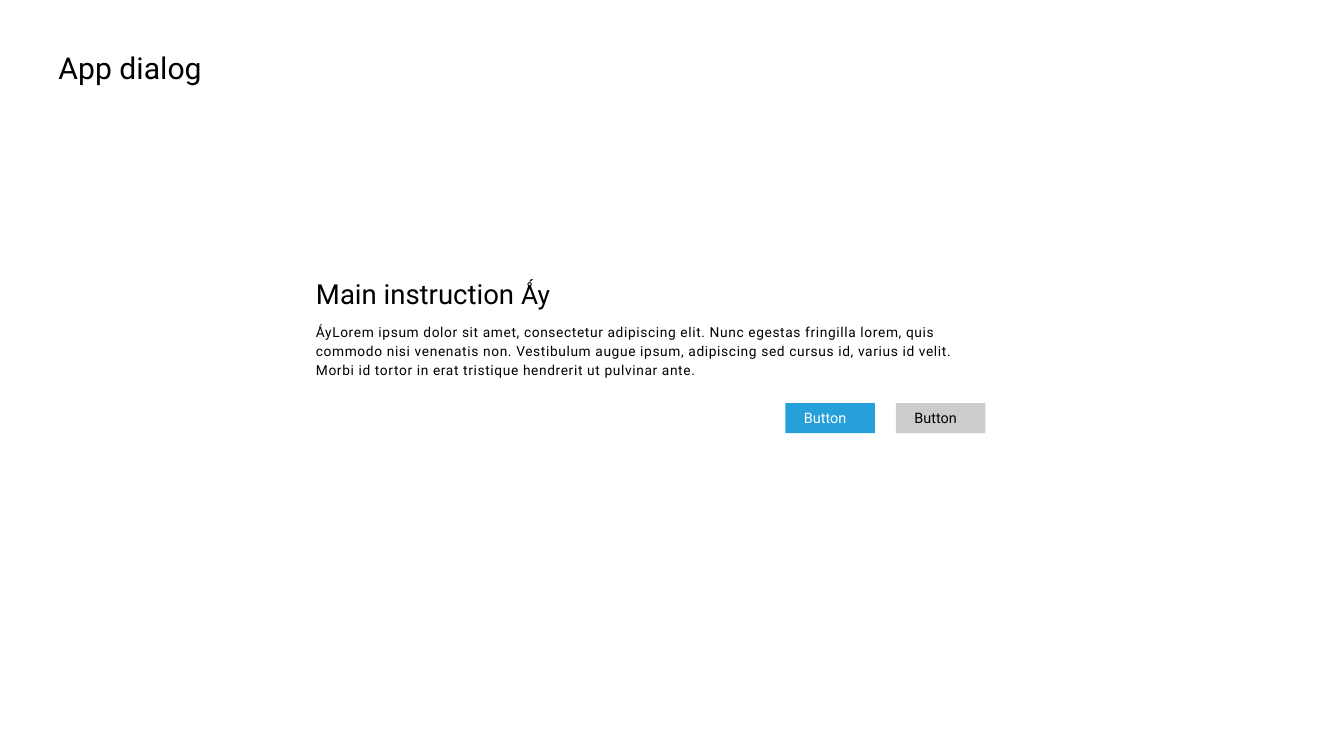
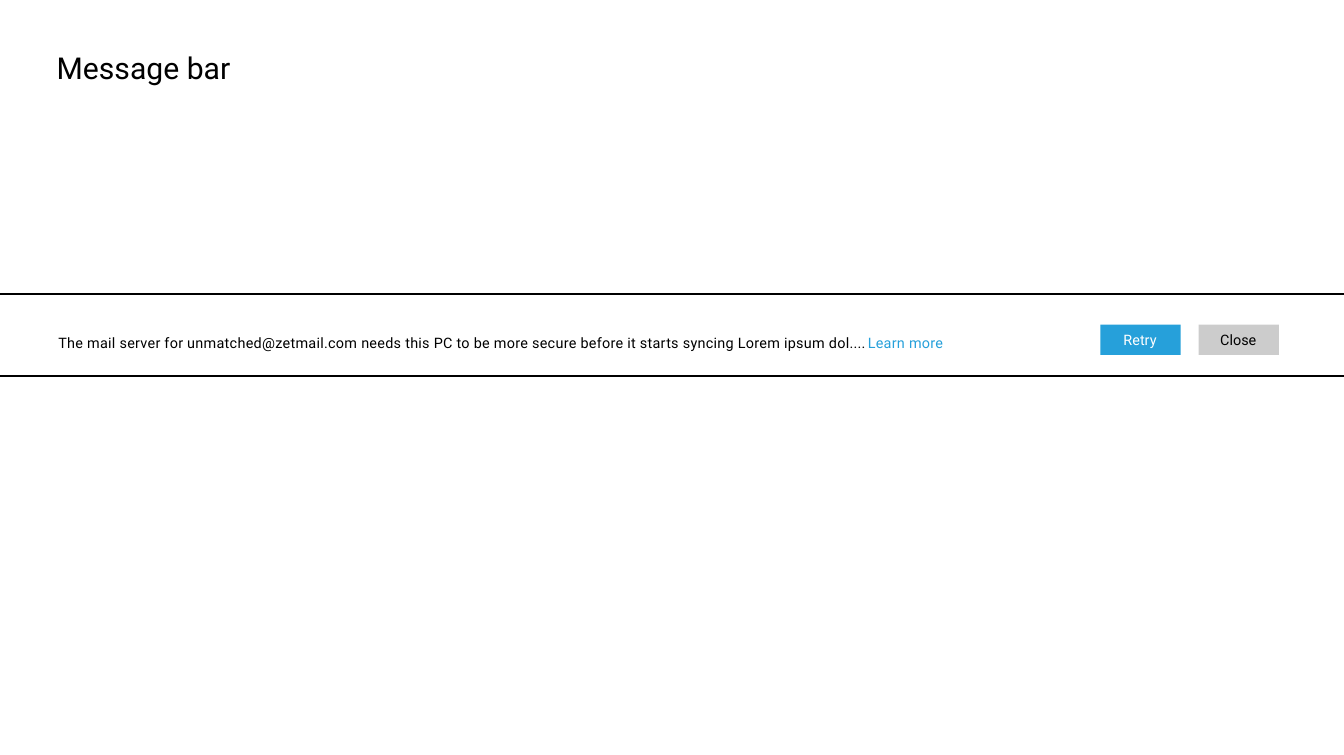
from dataclasses import dataclass
from typing import Any

from lxml.etree import SubElement
from pptx import Presentation
from pptx.dml.color import RGBColor
from pptx.enum.shapes import MSO_CONNECTOR as Link, MSO_SHAPE as Form
from pptx.enum.text import MSO_ANCHOR as Anchor, PP_ALIGN as Align
from pptx.oxml.ns import qn
from pptx.util import Inches, Pt

WIDE, HIGH = 14.24, 8
FACE = "Roboto"
INK, PAPER, BLUE, GREY = "000000", "FFFFFF", "26A0DA", "CCCCCC"
TITLE_TOP, TITLE_HIGH = 5.88, 6.13
BUTTON_HIGH, LABEL_HIGH = 4, 3.63


@dataclass
class Box:
    """Place in percent of the slide's width and height."""
    left: float
    top: float
    wide: float
    high: float

    def spots(self) -> tuple:
        return (across(self.left), down(self.top),
                across(self.wide), down(self.high))

    def inner(self, wide: float, high: float) -> "Box":
        return Box(self.left + (self.wide - wide) / 2,
                   self.top + (self.high - high) / 2, wide, high)


@dataclass
class Run:
    text: str
    size: float
    tint: str = INK
    space: float = 0


@dataclass
class Button:
    text: str
    fill: str
    tint: str
    label: float


def across(share: float) -> int:
    return Inches(WIDE * share / 100)


def down(share: float) -> int:
    return Inches(HIGH * share / 100)


def tone(code: str) -> RGBColor:
    return RGBColor.from_string(code)


def put(item: Any, style: dict) -> None:
    for key, value in style.items():
        setattr(item, key, value)


def write(frame: Any, runs: list[Run], lead: float = 0, **style: Any) -> None:
    put(frame, {"word_wrap": True, "vertical_anchor": Anchor.TOP, **style})
    para = frame.paragraphs[0]
    para.alignment = Align.LEFT
    if lead:
        para.line_spacing = Pt(lead)
    for part in runs:
        run = para.add_run()
        run.text = part.text
        put(run.font, {"name": FACE, "size": Pt(part.size)})
        run.font.color.rgb = tone(part.tint)
        if part.space:
            run.font._element.set("spc", str(round(part.space * 100)))


def add_text(group: Any, box: Box, runs: list[Run], lead: float = 0,
             **style: Any) -> None:
    shape = group.shapes.add_textbox(*box.spots())
    write(shape.text_frame, runs, lead, **style)


def add_rule(group: Any, top: float) -> None:
    line = group.shapes.add_connector(
        Link.STRAIGHT, 0, down(top), across(100), down(top))
    line.line.color.rgb = tone(INK)
    line.line.width = Pt(1.5)
    SubElement(line._element.spPr, qn("a:effectLst"))


def add_row(group: Any, first: Box, step: float, row: list[Button]) -> None:
    for place, item in enumerate(row):
        box = Box(first.left + place * step, first.top, first.wide, first.high)
        plate = group.shapes.add_shape(Form.RECTANGLE, *box.spots())
        plate.shadow.inherit = False
        plate.fill.solid()
        plate.fill.fore_color.rgb = tone(item.fill)
        plate.line.fill.background()
        add_text(group, box.inner(item.label, LABEL_HIGH),
                 [Run(item.text, 11, item.tint)], margin_right=0)


def start(deck: Any, title: str, left: float, wide: float) -> Any:
    """Add a titled slide and return the group for its content."""
    slide = deck.slides.add_slide(deck.slide_layouts[5])
    slide.background.fill.solid()
    slide.background.fill.fore_color.rgb = tone(PAPER)
    head = slide.shapes.title
    spots = Box(left, TITLE_TOP, wide, TITLE_HIGH).spots()
    put(head, dict(zip(("left", "top", "width", "height"), spots)))
    write(head.text_frame, [Run(title, 23)])
    return slide.shapes.add_group_shape()


def dialog(deck: Any) -> None:
    group = start(deck, "App dialog", 3.65, 25.84)
    # Instruction and body
    add_text(group, Box(22.82, 36.13, 20.08, 5.63),
             [Run("Main instruction ", 21), Run("Ǻy", 20)])
    body = ("ǺyLorem ipsum dolor sit amet, consectetur adipiscing elit. "
            "Nunc egestas fringilla lorem, quis commodo nisi venenatis non. "
            "Vestibulum augue ipsum, adipiscing sed cursus id, varius id "
            "velit. Morbi id tortor in erat tristique hendrerit ut pulvinar "
            "ante.")
    add_text(group, Box(22.82, 41.88, 50.91, 9.13),
             [Run(body, 10.5, space=0.5)], lead=14.5)
    # Buttons
    add_row(group, Box(58.43, 53.38, 6.67, BUTTON_HIGH), 8.22,
            [Button("Button", BLUE, PAPER, 5.27),
             Button("Button", GREY, INK, 5.27)])


def message(deck: Any) -> None:
    group = start(deck, "Message bar", 3.51, 17.06)
    # Bar edges
    for top in (39, 49.75):
        add_rule(group, top)
    # Message with its link word
    note = ("The mail server for unmatched@zetmail.com needs this PC to be "
            "more secure before it starts syncing Lorem ipsum dol....")
    add_text(group, Box(3.65, 43.63, 71.28, LABEL_HIGH),
             [Run(note, 11, space=0.2),
              Run("Learn more", 11, BLUE, 0.2)])
    # Buttons
    add_row(group, Box(81.88, 43, 5.97, BUTTON_HIGH), 7.3,
            [Button("Retry", BLUE, PAPER, 3.93),
             Button("Close", GREY, INK, 4.14)])


def main() -> None:
    deck = Presentation()
    put(deck, {"slide_width": across(100), "slide_height": down(100)})
    dialog(deck)
    message(deck)
    deck.save("out.pptx")


if __name__ == "__main__":
    main()
